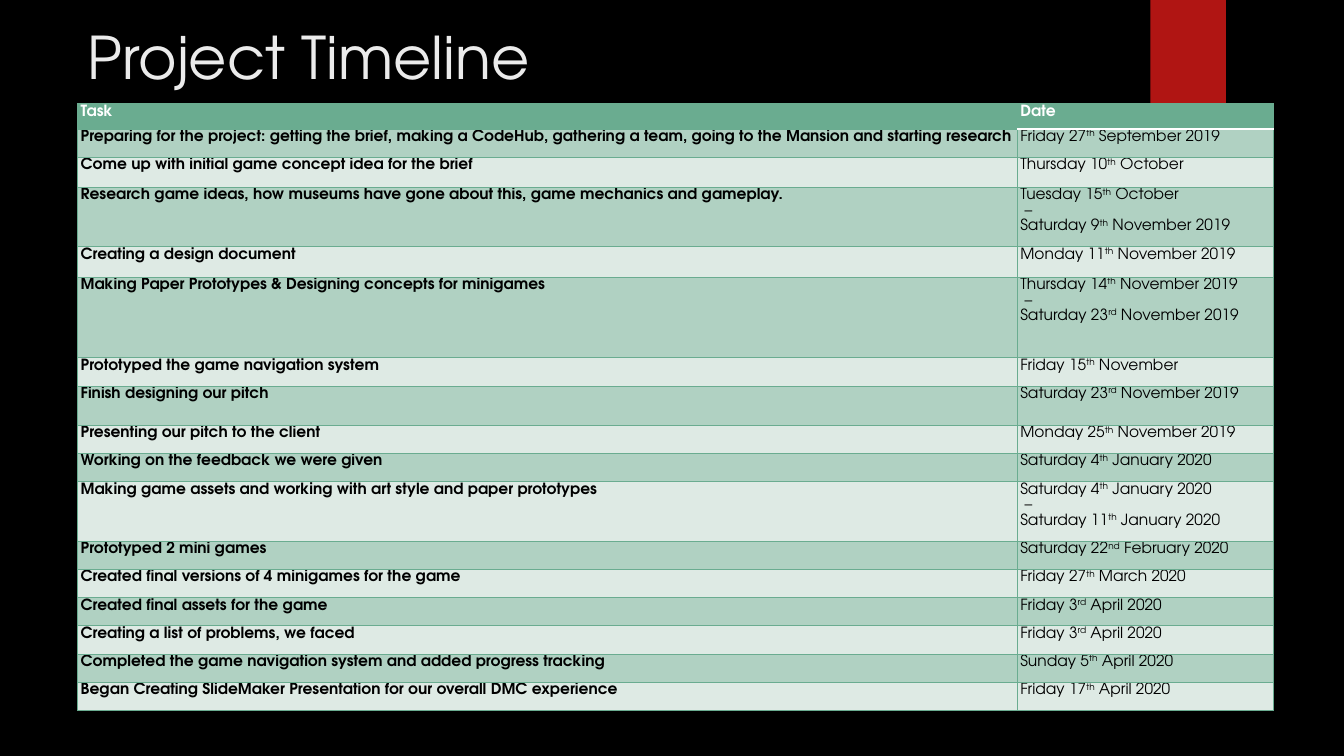
from dataclasses import dataclass
from lxml.etree import SubElement
from pptx import Presentation
from pptx.dml.color import RGBColor
from pptx.enum.shapes import MSO_SHAPE
from pptx.enum.text import MSO_ANCHOR, PP_ALIGN
from pptx.oxml.ns import qn
from pptx.util import Inches, Pt

# Content: task, date lines (superscripts between carets), row height
TITLE = "Project Timeline"
ROWS = [
    ("Task", ["Date"], 0.25),
    ("Preparing for the project: getting the brief, making a CodeHub, gathering a team, "
     "going to the Mansion and starting research", ["Friday 27^th^ September 2019"], 0.28),
    ("Come up with initial game concept idea for the brief", ["Thursday 10^th^ October"], 0.3),
    ("Research game ideas, how museums have gone about this, game mechanics and gameplay.",
     ["Tuesday 15^th^ October", " –", "Saturday 9^th^ November 2019"], 0.59),
    ("Creating a design document", ["Monday 11^th^ November 2019"], 0.3),
    ("Making Paper Prototypes & Designing concepts for minigames",
     ["Thursday 14^th^ November 2019", " –", "Saturday 23^rd^ November 2019"], 0.8),
    ("Prototyped the game navigation system", ["Friday 15^th^ November"], 0.28),
    ("Finish designing our pitch", ["Saturday 23^rd^ November 2019"], 0.39),
    ("Presenting our pitch to the client", ["Monday 25^th^ November 2019"], 0.28),
    ("Working on the feedback we were given", ["Saturday 4^th^ January 2020"], 0.28),
    ("Making game assets and working with art style and paper prototypes",
     ["Saturday 4^th^ January 2020", " –", "Saturday 11^th^ January 2020"], 0.59),
    ("Prototyped 2 mini games", ["Saturday 22^nd^ February 2020"], 0.28),
    ("Created final versions of 4 minigames for the game", ["Friday 27^th^ March 2020"], 0.28),
    ("Created final assets for the game", ["Friday 3^rd^ April 2020"], 0.28),
    ("Creating a list of problems, we faced", ["Friday 3^rd^ April 2020"], 0.28),
    ("Completed the game navigation system and added progress tracking",
     ["Sunday 5^th^ April 2020"], 0.28),
    ("Began Creating SlideMaker Presentation for our overall DMC experience",
     ["Friday 17^th^ April 2020"], 0.28),
]
COLS = (9.32, 2.54)
LEFT, TOP = 0.77, 1.03


@dataclass(frozen=True)
class Theme:
    font: str = "TeX Gyre Adventor"
    back: str = "000000"
    head: str = "EBEBEB"
    flag: str = "B01513"
    green: str = "6AAC90"
    band: str = "B0D1C2"
    pale: str = "DEEAE4"
    white: str = "FFFFFF"
    ink: str = "000000"
    big: int = 42
    small: int = 11


T = Theme()


def style(font, size, color, bold=False):
    font.name, font.size, font.bold = T.font, Pt(size), bold
    font.color.rgb = RGBColor.from_string(color)


def paint(fill, color):
    fill.solid()
    fill.fore_color.rgb = RGBColor.from_string(color)


def edge(cell, side, color, width):
    line = SubElement(cell._tc.get_or_add_tcPr(), qn("a:ln" + side), w=str(Pt(width)))
    SubElement(SubElement(line, qn("a:solidFill")), qn("a:srgbClr"), val=color)


def write(cell, lines, color, bold):
    frame = cell.text_frame
    for i, line in enumerate(lines):
        para = frame.add_paragraph() if i else frame.paragraphs[0]
        para.line_spacing = 1.07
        style(para.font, T.small, color, bold)
        for j, part in enumerate(line.split("^")):
            run = para.add_run()
            run.text = part
            if j % 2:
                run._r.get_or_add_rPr().set("baseline", "30000")


def main():
    deck = Presentation()
    deck.slide_width, deck.slide_height = Inches(13.33), Inches(7.5)
    slide = deck.slides.add_slide(deck.slide_layouts[5])
    paint(slide.background.fill, T.back)

    # Title
    title = slide.shapes.title
    title.left, title.top = Inches(LEFT), Inches(0.16)
    title.width, title.height = Inches(10.29), Inches(1.53)
    title.text = TITLE
    title.text_frame.vertical_anchor = MSO_ANCHOR.TOP
    para = title.text_frame.paragraphs[0]
    para.alignment = PP_ALIGN.LEFT
    style(para.font, T.big, T.head)

    # Red flag
    flag = slide.shapes.add_shape(MSO_SHAPE.RECTANGLE, Inches(11.41), 0,
                                  Inches(0.75), Inches(1.25))
    flag.shadow.inherit = False
    paint(flag.fill, T.flag)
    flag.line.fill.background()

    # Timeline table
    high = sum(row[2] for row in ROWS)
    table = slide.shapes.add_table(len(ROWS), len(COLS), Inches(LEFT), Inches(TOP),
                                   Inches(sum(COLS)), Inches(high)).table
    table.horz_banding = False
    for col, wide in zip(table.columns, COLS):
        col.width = Inches(wide)
    for r, (task, dates, tall) in enumerate(ROWS):
        table.rows[r].height = Inches(tall)
        fill = T.green if r == 0 else T.band if r % 2 else T.pale
        for c, lines in enumerate(([task], dates)):
            cell = table.cell(r, c)
            cell.margin_left = cell.margin_right = Inches(0.03)
            cell.margin_top = cell.margin_bottom = 0
            # White rule between the Date heading and its first row
            rule = {(0, 1): "B", (1, 1): "T"}.get((r, c))
            for side in "LRTB":
                if side == rule:
                    edge(cell, side, T.white, 1.5)
                else:
                    edge(cell, side, T.green, 0.75)
            paint(cell.fill, fill)
            write(cell, lines, T.ink if r else T.white, r == 0 or c == 0)

    deck.save("out.pptx")


if __name__ == "__main__":
    main()
